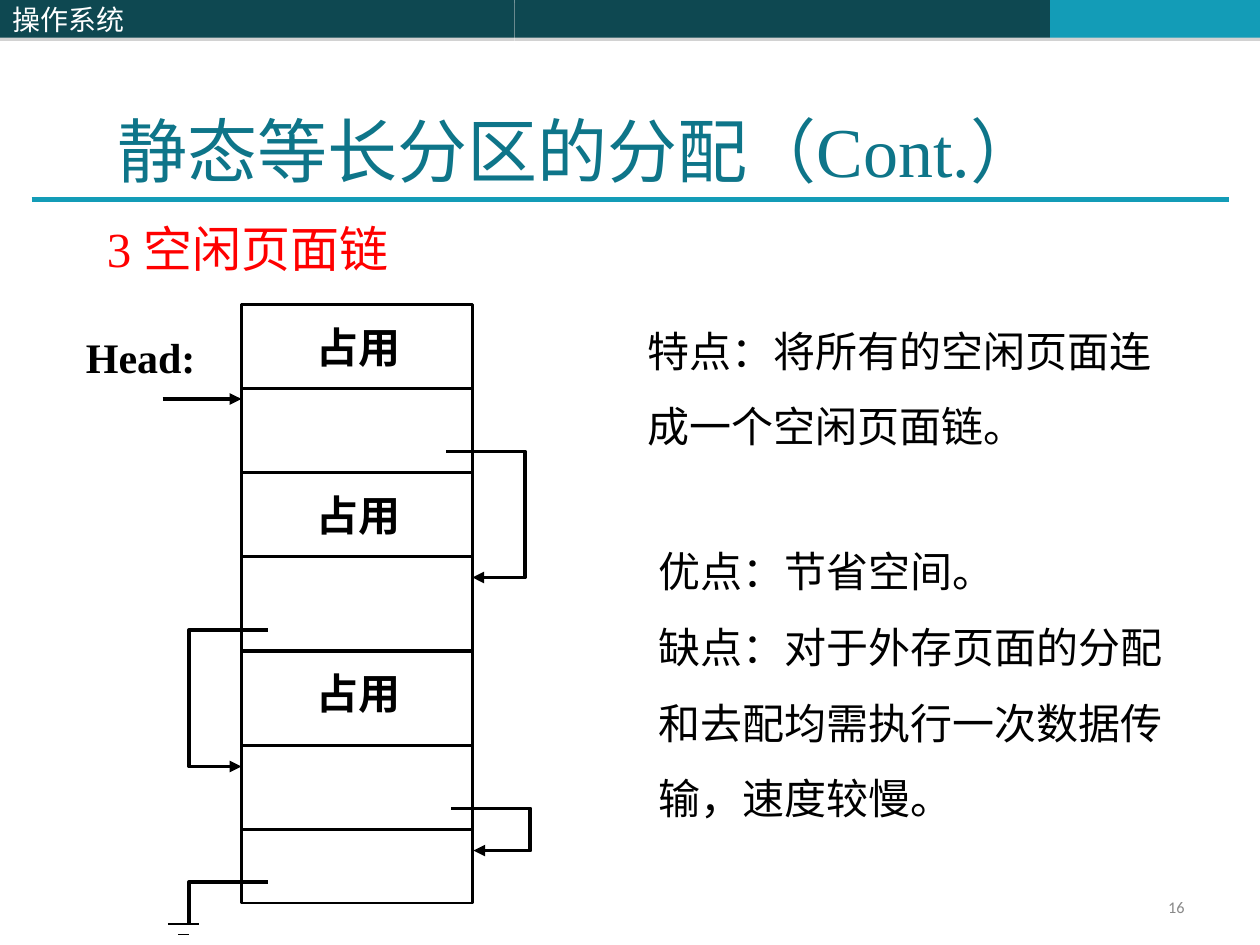
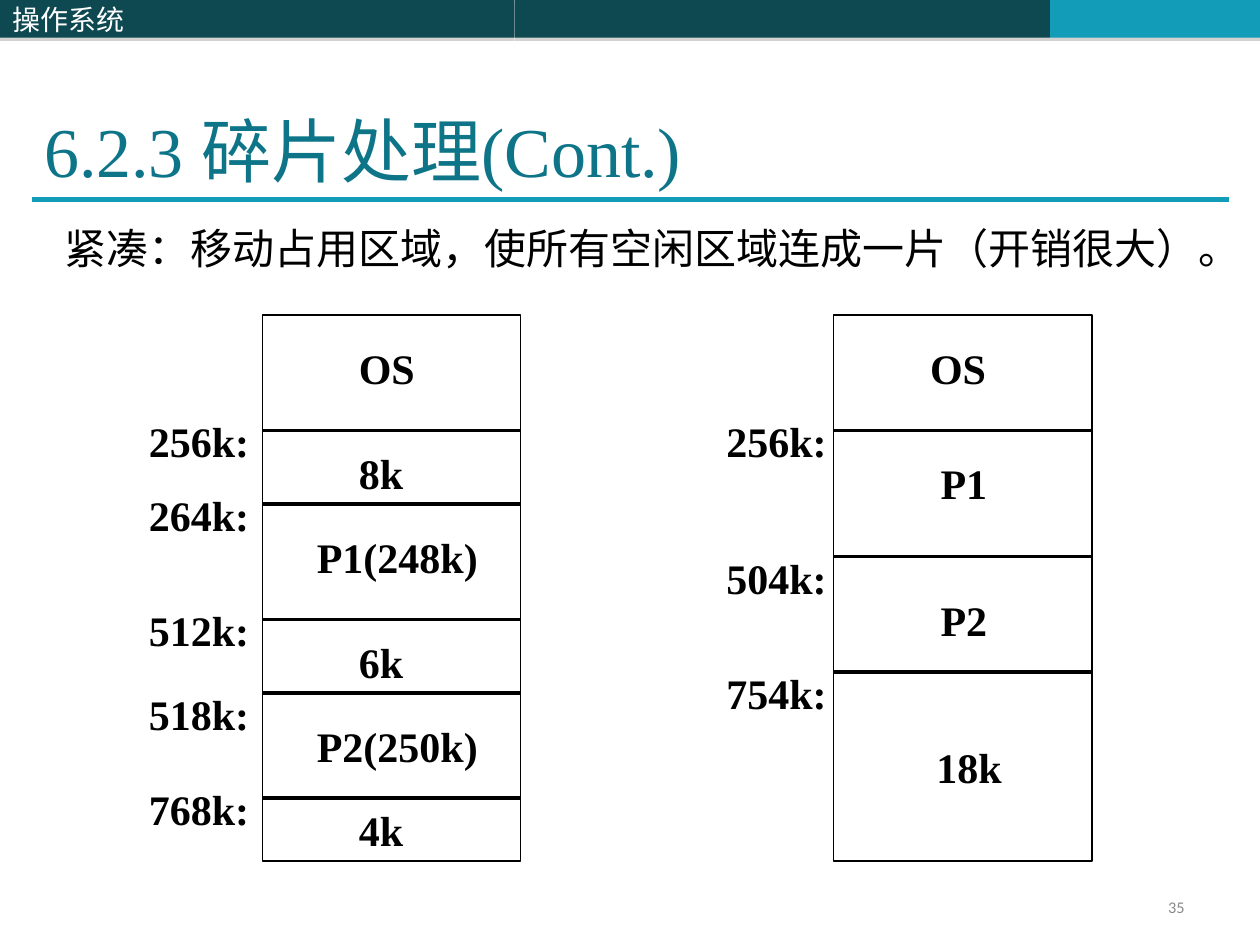
from dataclasses import dataclass
from typing import NamedTuple

from lxml.etree import SubElement
from pptx import Presentation
from pptx.dml.color import RGBColor
from pptx.enum.shapes import MSO_CONNECTOR, MSO_SHAPE
from pptx.enum.text import MSO_ANCHOR, MSO_AUTO_SIZE, PP_ALIGN
from pptx.oxml.ns import qn
from pptx.util import Emu, Inches, Pt

COLUMNS, ROWS = 120, 90
SLIDE_WIDTH, SLIDE_HEIGHT = Inches(10), Inches(7.5)
BLACK, WHITE, RED, GREY = "000000", "FFFFFF", "FF0000", "898989"
DARK_TEAL, TEAL, TITLE_TEAL, SHADOW_GREY = "0E4851", "139CB7", "0E7589", "808080"
SERIF, CHINESE, SANS = "Times New Roman", "Noto Sans CJK SC", "Calibri"


class Area(NamedTuple):
    """Left, top, width and height in grid cells."""
    left: float
    top: float
    width: float
    height: float


class Point(NamedTuple):
    column: float
    row: float


@dataclass(frozen=True)
class TextStyle:
    size: float = 24
    font: str = CHINESE
    color: str = BLACK
    bold: bool = False
    spacing: float = 1.0
    align: PP_ALIGN = PP_ALIGN.LEFT
    anchor: MSO_ANCHOR = MSO_ANCHOR.TOP


@dataclass(frozen=True)
class Label:
    text: str
    left: float
    top: float
    width: float = 13


@dataclass(frozen=True)
class MemoryColumn:
    """A block of memory cut into partitions at the given rows."""
    area: Area
    dividers: tuple[int, ...]
    line_width: float
    labels: tuple[Label, ...]


BODY = TextStyle()
WIDE_BODY = TextStyle(spacing=1.5)
BOLD_LABEL = TextStyle(font=SERIF, bold=True)
TITLE = TextStyle(40, SERIF, TITLE_TEAL, anchor=MSO_ANCHOR.BOTTOM)
SUBTITLE = TextStyle(28, SERIF, RED, anchor=MSO_ANCHOR.BOTTOM)
BAND_TEXT = TextStyle(16, color=WHITE, anchor=MSO_ANCHOR.MIDDLE)
PAGE_NUMBER = TextStyle(9.3, SANS, GREY, spacing=0.8, align=PP_ALIGN.RIGHT,
                        anchor=MSO_ANCHOR.MIDDLE)

PAGE_MEMORY = MemoryColumn(
    Area(23, 29, 22, 57), (37, 45, 53, 62, 71, 79), 1.25,
    tuple(Label("占用", 29, top, 11) for top in (30, 46, 63)))
FREE_PAGE_LINKS = (
    (Point(42.5, 43), Point(50, 43), Point(50, 55), Point(45, 55)),
    (Point(25.5, 60), Point(18, 60), Point(18, 73), Point(23, 73)),
    (Point(43, 77), Point(50.5, 77), Point(50.5, 81), Point(45.1, 81)),
)
CHAIN_END = (Point(25.5, 84), Point(18, 84), Point(18, 88))

FRAGMENTED_MEMORY = MemoryColumn(
    Area(25, 30, 24.6, 52), (41, 48, 59, 66, 76), 0.75,
    (Label("OS", 33, 32), Label("8k", 33, 42), Label("P1(248k)", 29, 50, 19),
     Label("6k", 33, 60), Label("P2(250k)", 29, 68, 19), Label("4k", 33, 76),
     Label("256k:", 13, 39), Label("264k:", 13, 46), Label("512k:", 13, 57),
     Label("518k:", 13, 65), Label("768k:", 13, 74)))
COMPACTED_MEMORY = MemoryColumn(
    Area(79.4, 30, 24.6, 52), (41, 53, 64), 0.75,
    (Label("OS", 87.4, 32), Label("P1", 88.4, 43), Label("P2", 88.4, 56),
     Label("18k", 88, 70),
     Label("256k:", 68, 39), Label("504k:", 68, 52), Label("754k:", 68, 63)))


def rgb(value: str) -> RGBColor:
    return RGBColor.from_string(value)


def across(columns: float) -> Emu:
    return Emu(round(SLIDE_WIDTH * columns / COLUMNS))


def down(rows: float) -> Emu:
    return Emu(round(SLIDE_HEIGHT * rows / ROWS))


def bounds(area: Area) -> tuple[Emu, Emu, Emu, Emu]:
    return across(area.left), down(area.top), across(area.width), down(area.height)


def set_font(run, font: str) -> None:
    """Use one typeface for both Latin and Chinese letters."""
    run.font.name = font
    properties = run.font._element
    east_asian = properties.find(qn("a:ea"))
    if east_asian is None:
        east_asian = SubElement(properties, qn("a:ea"))
    east_asian.set("typeface", CHINESE)


def write(shape, text: str, style: TextStyle) -> None:
    frame = shape.text_frame
    frame.text = text
    frame.word_wrap = True
    frame.auto_size = MSO_AUTO_SIZE.NONE
    frame.vertical_anchor = style.anchor
    for paragraph in frame.paragraphs:
        paragraph.alignment = style.align
        paragraph.line_spacing = style.spacing
        for run in paragraph.runs:
            set_font(run, style.font)
            run.font.size = Pt(style.size)
            run.font.bold = style.bold
            run.font.color.rgb = rgb(style.color)


def add_text(slide, text: str, area: Area, style: TextStyle) -> None:
    write(slide.shapes.add_textbox(*bounds(area)), text, style)


def add_rectangle(slide, area: Area, fill: str):
    shape = slide.shapes.add_shape(MSO_SHAPE.RECTANGLE, *bounds(area))
    shape.shadow.inherit = False
    shape.fill.solid()
    shape.fill.fore_color.rgb = rgb(fill)
    shape.line.fill.background()
    return shape


def style_line(shape, color: str, width: float, arrow: bool) -> None:
    shape.line.color.rgb = rgb(color)
    shape.line.width = Pt(width)
    if arrow:
        outline = shape.element.spPr.find(qn("a:ln"))
        SubElement(outline, qn("a:tailEnd"), type="triangle")


def add_line(slide, start: Point, end: Point, color: str = BLACK,
             width: float = 2.25, arrow: bool = False):
    connector = slide.shapes.add_connector(
        MSO_CONNECTOR.STRAIGHT, across(start.column), down(start.row),
        across(end.column), down(end.row))
    style_line(connector, color, width, arrow)
    SubElement(connector.element.spPr, qn("a:effectLst"))
    return connector


def add_bent_line(slide, points: tuple[Point, ...], arrow: bool = False) -> None:
    corners = [(across(point.column), down(point.row)) for point in points]
    builder = slide.shapes.build_freeform(*corners[0])
    builder.add_line_segments(corners[1:], close=False)
    shape = builder.convert_to_shape()
    shape.shadow.inherit = False
    shape.fill.background()
    style_line(shape, BLACK, 2.25, arrow)


def add_band_shadow(band) -> None:
    effects = band.element.spPr.find(qn("a:effectLst"))
    shadow = SubElement(effects, qn("a:outerShdw"), blurRad="0",
                        dist=str(Pt(1.8)), dir="5400000", rotWithShape="0")
    color = SubElement(shadow, qn("a:srgbClr"), val=SHADOW_GREY)
    SubElement(color, qn("a:alpha"), val="35000")


def move_frame_to_layout(slide) -> None:
    """Draw the top bands and title rule, then hand them to the layout."""
    bands = [add_rectangle(slide, Area(left, 0, width, 3.6), fill)
             for left, width, fill in ((49, 51, DARK_TEAL), (100, 20, TEAL),
                                       (0, 49, DARK_TEAL))]
    for band in bands:
        add_band_shadow(band)
    write(bands[-1], "操作系统", BAND_TEXT)
    rule = add_line(slide, Point(3, 19), Point(117, 19), TEAL, 3)
    for shape in (*bands, rule):
        slide.slide_layout.shapes.element.append(shape.element)


def start_slide(presentation, title: str, title_left: float, number: int):
    slide = presentation.slides.add_slide(presentation.slide_layouts[5])
    placeholder = slide.shapes.title
    (placeholder.left, placeholder.top,
     placeholder.width, placeholder.height) = bounds(Area(title_left, 3.8, 102, 15))
    write(placeholder, title, TITLE)
    add_text(slide, str(number), Area(86, 85, 28, 3.2), PAGE_NUMBER)
    return slide


def add_memory(slide, memory: MemoryColumn) -> None:
    area = memory.area
    block = add_rectangle(slide, area, WHITE)
    style_line(block, BLACK, memory.line_width, arrow=False)
    for row in memory.dividers:
        add_line(slide, Point(area.left, row), Point(area.left + area.width, row))
    for label in memory.labels:
        add_text(slide, label.text, Area(label.left, label.top, label.width, 6),
                 BOLD_LABEL)


def build_free_page_chain(presentation) -> None:
    slide = start_slide(presentation, "静态等长分区的分配（Cont.）", 10, 16)
    move_frame_to_layout(slide)
    add_text(slide, "3 空闲页面链", Area(9, 21, 102, 6), SUBTITLE)
    add_memory(slide, PAGE_MEMORY)
    for link in FREE_PAGE_LINKS:
        add_bent_line(slide, link, arrow=True)
    add_text(slide, "Head:", Area(7, 31, 13, 6), BOLD_LABEL)
    add_line(slide, Point(15.5, 38), Point(23, 38), arrow=True)
    add_bent_line(slide, CHAIN_END)
    for left, right, row in ((16, 19, 88), (17, 18, 89)):
        add_line(slide, Point(left, row), Point(right, row), width=0.75)
    add_text(slide, "特点：将所有的空闲页面连成一个空闲页面链。",
             Area(60.5, 28, 52, 15.6), WIDE_BODY)
    add_text(slide, "优点：节省空间。\n"
             "缺点：对于外存页面的分配和去配均需执行一次数据传输，速度较慢。",
             Area(61.5, 49, 52, 30), WIDE_BODY)


def build_compaction(presentation) -> None:
    slide = start_slide(presentation, "6.2.3 碎片处理(Cont.)", 3, 35)
    add_text(slide, "紧凑：移动占用区域，使所有空闲区域连成一片（开销很大）。",
             Area(5, 20.6, 115, 6), BODY)
    for memory in (FRAGMENTED_MEMORY, COMPACTED_MEMORY):
        add_memory(slide, memory)


def main() -> None:
    presentation = Presentation()
    presentation.slide_width, presentation.slide_height = SLIDE_WIDTH, SLIDE_HEIGHT
    build_free_page_chain(presentation)
    build_compaction(presentation)
    presentation.save("out.pptx")


if __name__ == "__main__":
    main()
